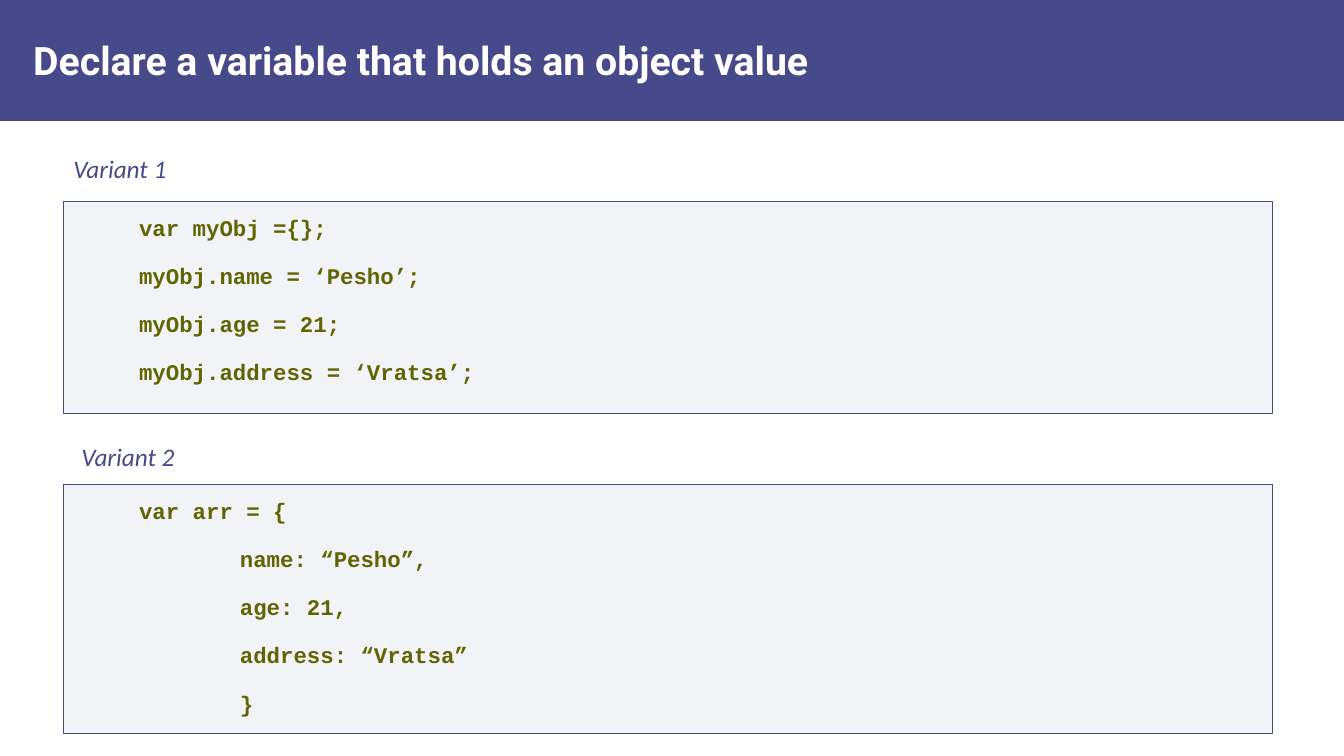
from lxml.etree import SubElement
from pptx import Presentation
from pptx.dml.color import RGBColor
from pptx.enum.shapes import MSO_SHAPE
from pptx.enum.text import MSO_ANCHOR, PP_ALIGN
from pptx.oxml.ns import qn
from pptx.util import Inches, Pt

COLORS = {"indigo": "474A8A", "panel": "ACB4C3", "code": "616403", "white": "FFFFFF"}
TITLE = "Declare a variable that holds an object value"
VARIANTS = [
    {
        "label": "Variant 1", "label_at": (0.63, 1.42), "top": 2, "height": 2.1,
        "code": [
            "var myObj ={};",
            "myObj.name = ‘Pesho’;",
            "myObj.age = 21;",
            "myObj.address = ‘Vratsa’;",
        ],
    },
    {
        "label": "Variant 2", "label_at": (0.71, 4.28), "top": 4.81, "height": 2.47,
        "code": [
            "var arr = {",
            "\t\tname: “Pesho”,",
            "\t\tage: 21,",
            "\t\taddress: “Vratsa”",
            "\t\t}",
        ],
    },
]
PANEL_LEFT, PANEL_WIDTH = 0.63, 11.99
CODE_INDENT = 0.59


def color(name):
    return RGBColor.from_string(COLORS[name])


def add_rect(left, top, width, height, fill):
    sp = slide.shapes.add_shape(
        MSO_SHAPE.RECTANGLE, Inches(left), Inches(top), Inches(width), Inches(height))
    sp.shadow.inherit = False
    sp.fill.solid()
    sp.fill.fore_color.rgb = color(fill)
    sp.line.fill.background()
    return sp


def setup_frame(sp, inset_x, inset_y, anchor=MSO_ANCHOR.TOP):
    tf = sp.text_frame
    tf.word_wrap = True
    tf.vertical_anchor = anchor
    tf.margin_left = tf.margin_right = Inches(inset_x)
    tf.margin_top = tf.margin_bottom = Inches(inset_y)
    return tf


def add_run(p, text, font, size, name, bold=False, italic=False):
    p.alignment = PP_ALIGN.LEFT
    r = p.add_run()
    r.text = text
    r.font.name, r.font.size = font, Pt(size)
    r.font.bold, r.font.italic = bold, italic
    r.font.color.rgb = color(name)


def add_textbox(left, top, width, height):
    return slide.shapes.add_textbox(
        Inches(left), Inches(top), Inches(width), Inches(height))


def add_code_panel(top, height, lines):
    sp = add_rect(PANEL_LEFT, top, PANEL_WIDTH, height, "panel")
    fill = sp.fill._xPr.find(qn("a:solidFill"))
    SubElement(fill[0], qn("a:alpha")).set("val", "15000")
    sp.line.color.rgb = color("indigo")
    sp.line.width = Pt(1)
    tf = setup_frame(sp, 0.16, 0.12)
    for i, line in enumerate(lines):
        p = tf.paragraphs[0] if i == 0 else tf.add_paragraph()
        pPr = p._p.get_or_add_pPr()
        pPr.set("marL", str(Inches(CODE_INDENT)))
        pPr.set("indent", "0")
        p.space_before = Pt(15.25 if i else 0)
        add_run(p, line, "Courier New", 16, "code", bold=True)


prs = Presentation()
prs.slide_width, prs.slide_height = Inches(13.33), Inches(7.5)
slide = prs.slides.add_slide(prs.slide_layouts[6])

add_rect(0, 0, 13.33, 1.2, "indigo")
title = setup_frame(add_textbox(0.21, 0.11, 10.4, 0.97), 0.12, 0.04, MSO_ANCHOR.MIDDLE)
add_run(title.paragraphs[0], TITLE, "Roboto", 28, "white", bold=True)

for variant in VARIANTS:
    add_code_panel(variant["top"], variant["height"], variant["code"])
    label = setup_frame(add_textbox(*variant["label_at"], 8.62, 0.42), 0.1, 0.1)
    add_run(label.paragraphs[0], variant["label"], "Calibri", 18, "indigo", italic=True)

prs.save("out.pptx")
